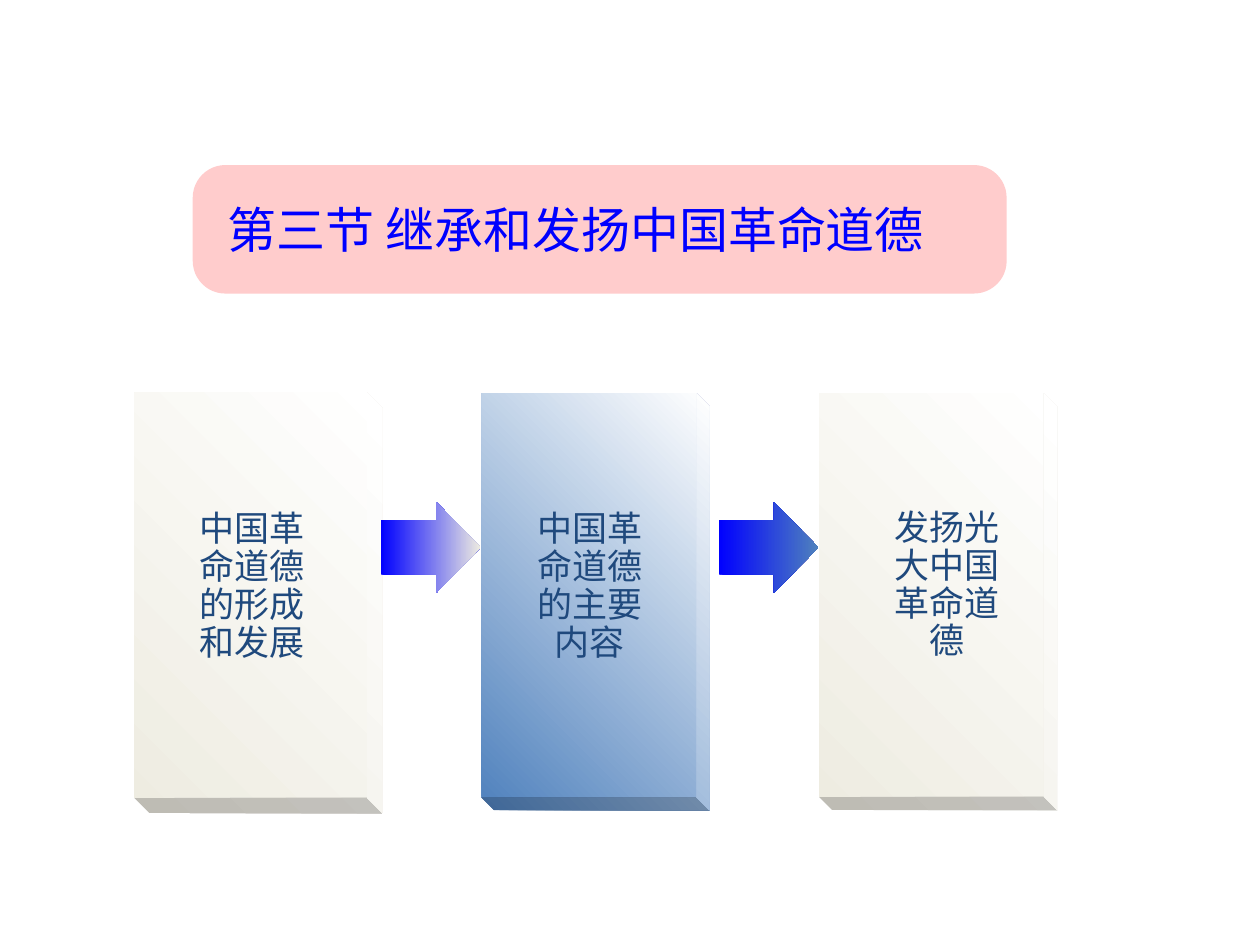
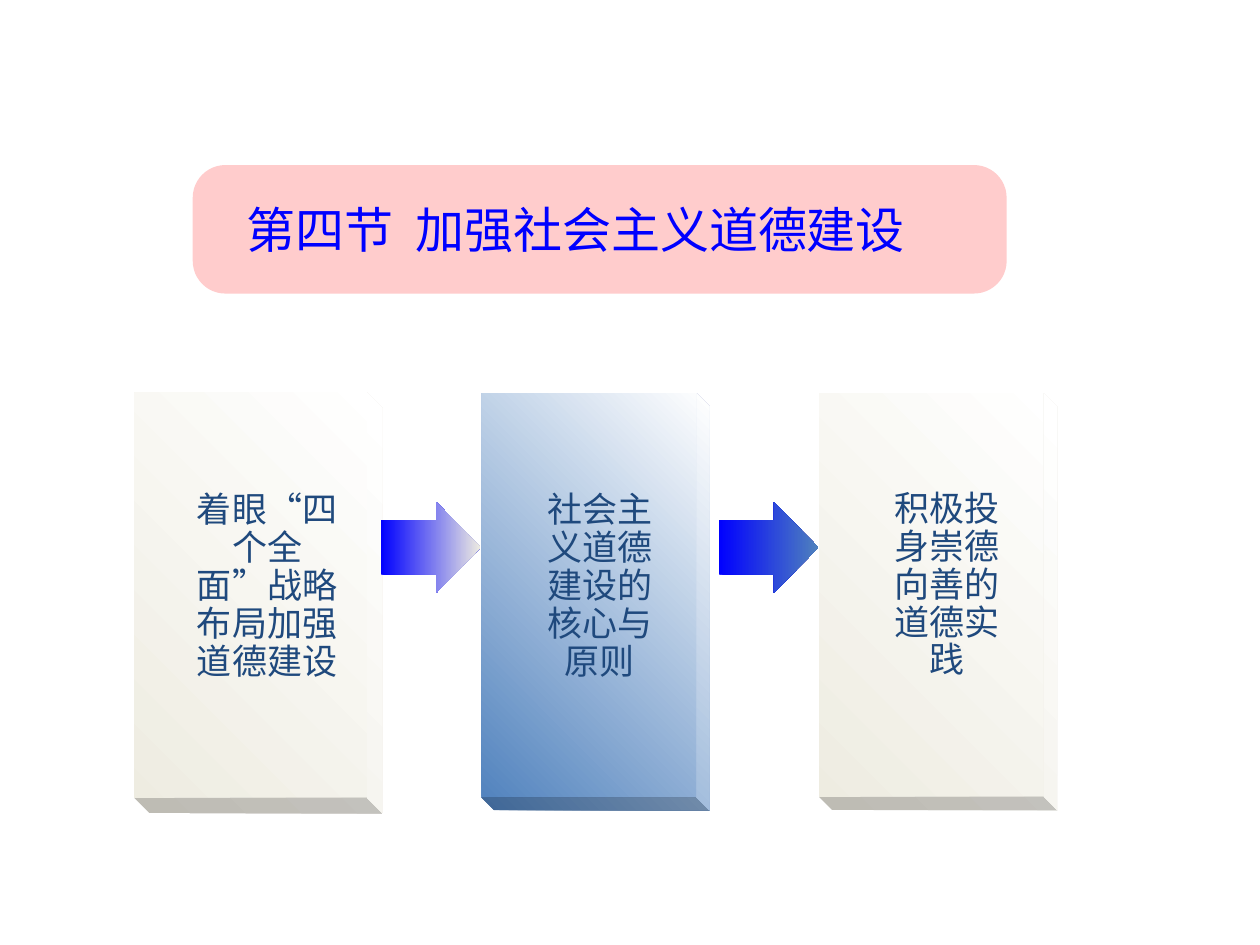
from pptx import Presentation
from pptx.dml.color import RGBColor
from pptx.enum.shapes import MSO_SHAPE
from pptx.enum.text import MSO_ANCHOR, MSO_AUTO_SIZE, PP_ALIGN
from pptx.oxml.ns import qn
from pptx.util import Inches, Pt

ROUNDED, CUBE, ARROW = MSO_SHAPE.ROUNDED_RECTANGLE, MSO_SHAPE.CUBE, MSO_SHAPE.UP_ARROW
MIDDLE, CENTER, NO_FIT = MSO_ANCHOR.MIDDLE, PP_ALIGN.CENTER, MSO_AUTO_SIZE.NONE

# Each section: title, then (label, label width) for every block
SECTIONS = [
    ("第三节 继承和发扬中国革命道德",
     [("中国革命道德的形成和发展", 0.94),
      ("中国革命道德的主要内容", 0.94),
      ("发扬光大中国革命道德", 0.94)]),
    ("第四节  加强社会主义道德建设",
     [("着眼“四个全面”战略布局加强道德建设", 1.18),
      ("社会主义道德建设的核心与原则", 1.1),
      ("积极投身崇德向善的道德实践", 0.94)]),
]

FONT = "Arial"
COLORS = {"banner": "FFCCCC", "title": "0000FF", "label": "1F497D", "white": "FFFFFF",
          "cream": "EEECE1", "steel": "4F81BD", "blue": "0000FF"}

BANNER = (1.53, 1.31, 6.46, 1.02)
TITLE = (1.25, 1.5, 6.64, 0.63)
# Blocks are cubes turned by 90 degrees; boxes are given before turning
BLOCKS = [
    dict(box=(0.38, 3.8, 3.34, 1.97), depth=0.062, color="cream"),
    dict(box=(3.07, 3.87, 3.31, 1.81), depth=0.056, color="steel"),
    dict(box=(5.79, 3.83, 3.31, 1.89), depth=0.056, color="cream"),
]
LABELS = [(1.53, 3.44, 2.44), (4.21, 3.36, 2.6), (7.05, 3.51, 2.28)]  # left, top, height
ARROWS = [(3.06, "cream"), (5.74, "steel")]  # left, end colour
ARROW_TOP, ARROW_SIZE = 3.95, (0.72, 0.79)


def inches(box):
    return [Inches(v) for v in box]


def rgb(name):
    return RGBColor.from_string(COLORS[name])


def write(sp, text, size, color, margins, spacing=None):
    tf = sp.text_frame
    tf.word_wrap = True
    tf.auto_size = NO_FIT
    tf.vertical_anchor = MIDDLE
    tf.margin_left = tf.margin_right = Inches(margins[0])
    tf.margin_top = tf.margin_bottom = Inches(margins[1])
    p = tf.paragraphs[0]
    p.alignment = CENTER
    if spacing:
        p.line_spacing = spacing
    r = p.add_run()
    r.text = text
    r.font.name, r.font.size = FONT, Pt(size)
    r.font.color.rgb = rgb(color)


def add_shape(s, kind, box, adjustments, rotation=0):
    sp = s.shapes.add_shape(kind, *inches(box))
    sp.shadow.inherit = False
    sp.line.fill.background()
    sp.rotation = rotation
    for i, value in enumerate(adjustments):
        sp.adjustments[i] = value
    return sp


def fill_gradient(sp, start, end, angle):
    """Two-colour gradient that keeps its direction when the shape is turned."""
    sp.fill.gradient()
    sp.fill.gradient_angle = angle
    for stop, color, position in zip(sp.fill.gradient_stops, (start, end), (0, 1)):
        stop.color.rgb = rgb(color)
        stop.position = position
    sp._element.spPr.find(qn("a:gradFill")).set("rotWithShape", "0")


def add_banner(s, text):
    banner = add_shape(s, ROUNDED, BANNER, [0.254])
    banner.fill.solid()
    banner.fill.fore_color.rgb = rgb("banner")
    title = s.shapes.title
    title._element.addprevious(banner._element)
    title.left, title.top, title.width, title.height = inches(TITLE)
    write(title, text, 28, "title", (0.1, 0.05))


def add_section(prs, title, labels):
    s = prs.slides.add_slide(prs.slide_layouts[5])
    add_banner(s, title)
    for block in BLOCKS:
        sp = add_shape(s, CUBE, block["box"], [block["depth"]], rotation=90)
        fill_gradient(sp, block["color"], "white", 45)
    for left, color in ARROWS:
        sp = add_shape(s, ARROW, (left, ARROW_TOP, *ARROW_SIZE), [0.6, 0.49], rotation=270)
        sp._element.spPr.find(qn("a:xfrm")).set("flipV", "1")
        fill_gradient(sp, "blue", color, 0)
    for (left, top, height), (text, width) in zip(LABELS, labels):
        tb = s.shapes.add_textbox(*inches((left, top, width, height)))
        write(tb, text, 20, "label", (0.02, 0.01), spacing=0.9)


def main():
    prs = Presentation()
    prs.slide_width, prs.slide_height = Inches(10), Inches(7.5)
    for title, labels in SECTIONS:
        add_section(prs, title, labels)
    prs.save("out.pptx")


if __name__ == "__main__":
    main()
